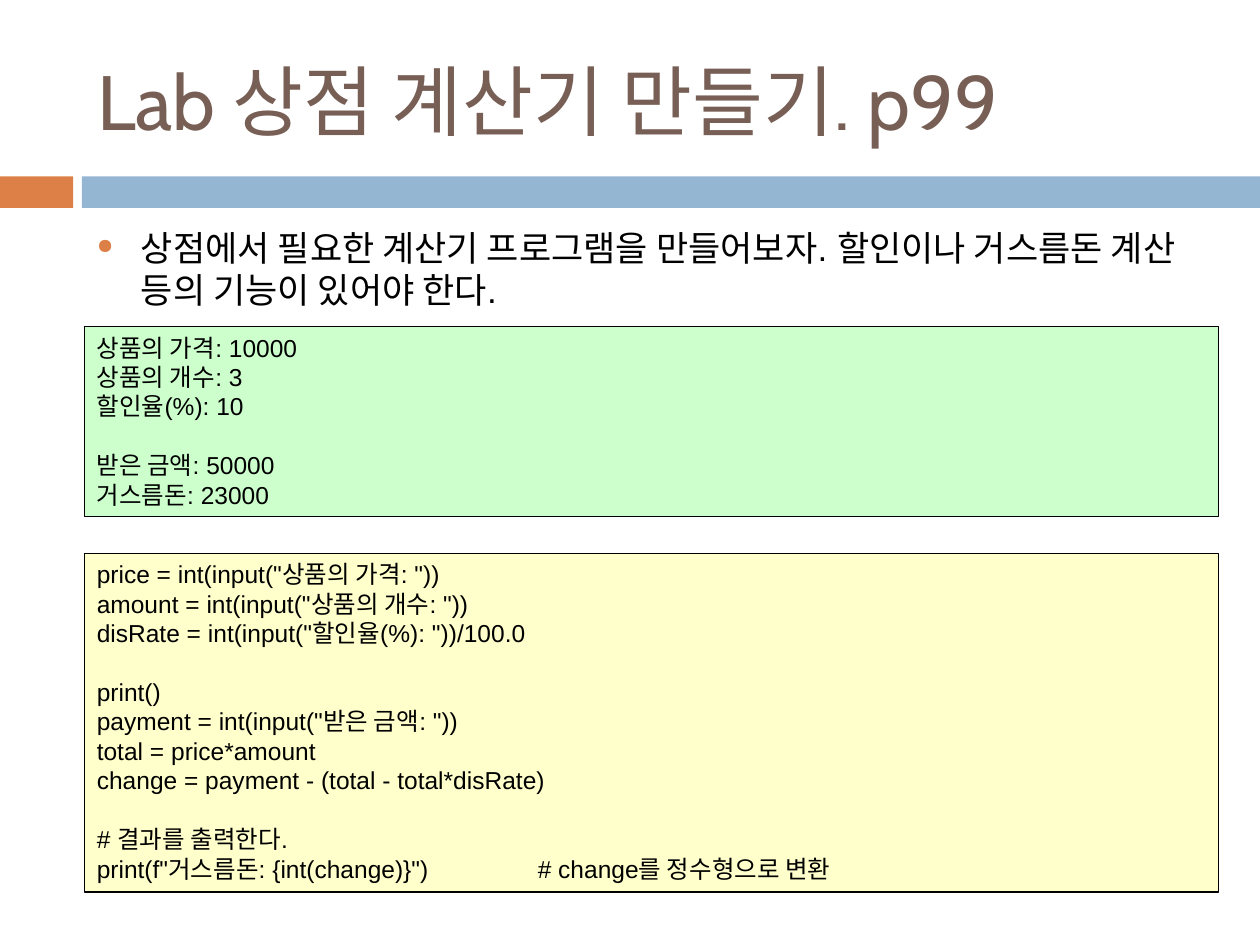
from lxml.etree import SubElement
from pptx import Presentation
from pptx.dml.color import RGBColor
from pptx.enum.shapes import MSO_SHAPE
from pptx.enum.text import MSO_ANCHOR, MSO_AUTO_SIZE, PP_ALIGN
from pptx.oxml.ns import qn
from pptx.util import Inches, Pt

BLACK = RGBColor(0x00, 0x00, 0x00)
BROWN = RGBColor(0x77, 0x5F, 0x55)
ORANGE = RGBColor(0xDD, 0x80, 0x47)
BLUE = RGBColor(0x94, 0xB6, 0xD2)
GREEN = RGBColor(0xCC, 0xFF, 0xCC)
YELLOW = RGBColor(0xFF, 0xFF, 0xCC)

TITLE = "Lab 상점 계산기 만들기. p99"
TASK = "상점에서 필요한 계산기 프로그램을 만들어보자. 할인이나 거스름돈 계산 등의 기능이 있어야 한다."
OUTPUT = [
    ["상품의 가격: 10000", "상품의 개수: 3", "할인율(%): 10"],
    ["받은 금액: 50000", "거스름돈: 23000"],
]
CODE = [
    [
        'price = int(input("상품의 가격: "))',
        'amount = int(input("상품의 개수: "))',
        'disRate = int(input("할인율(%): "))/100.0',
    ],
    [
        "print()",
        'payment = int(input("받은 금액: "))',
        "total = price*amount",
        "change = payment - (total - total*disRate)",
    ],
    [
        "# 결과를 출력한다.",
        'print(f"거스름돈: {int(change)}")\t\t# change를 정수형으로 변환',
    ],
]


def style(font, name, size, color):
    """Set the face, size and colour of a font."""
    font.name = name
    font.size = Pt(size)
    font.color.rgb = color


def add_rect(slide, box, fill):
    """Add a plain filled rectangle."""
    rect = slide.shapes.add_shape(MSO_SHAPE.RECTANGLE, *map(Inches, box))
    rect.shadow.inherit = False
    rect.fill.solid()
    rect.fill.fore_color.rgb = fill
    rect.line.fill.background()
    return rect


def add_band(slide, box, split, gap):
    """Draw the two-colour band, split at the given width."""
    left, top, width, height = box
    start = split + gap
    add_rect(slide, (left, top, split, height), ORANGE)
    add_rect(slide, (left + start, top, width - start, height), BLUE)


def set_title(slide, box, text):
    """Place and format the title placeholder."""
    title = slide.shapes.title
    title.left, title.top, title.width, title.height = map(Inches, box)
    frame = title.text_frame
    frame.text = text
    frame.auto_size = MSO_AUTO_SIZE.NONE
    frame.vertical_anchor = MSO_ANCHOR.MIDDLE
    para = frame.paragraphs[0]
    para.alignment = PP_ALIGN.LEFT
    style(para.runs[0].font, "Cabin", 44, BROWN)


def add_bullet(slide, box, text):
    """Add a text box with one bulleted paragraph."""
    frame = slide.shapes.add_textbox(*map(Inches, box)).text_frame
    frame.word_wrap = True
    para = frame.paragraphs[0]
    para.text = text
    props = para._p.get_or_add_pPr()
    props.set("marL", str(Inches(0.35)))
    props.set("indent", str(-Inches(0.35)))
    color = SubElement(props, qn("a:buClr"))
    SubElement(color, qn("a:srgbClr"), val=str(ORANGE))
    SubElement(props, qn("a:buSzPct"), val="60000")
    SubElement(props, qn("a:buChar"), char="●")
    style(para.runs[0].font, "Arial", 20, BLACK)


def add_panel(slide, box, fill, blocks):
    """Add a bordered panel of text blocks, one line apart."""
    panel = add_rect(slide, box, fill)
    panel.line.color.rgb = BLACK
    panel.line.width = Pt(0.75)
    frame = panel.text_frame
    frame.word_wrap = True
    frame.vertical_anchor = MSO_ANCHOR.TOP
    frame.text = "\n".join(line for block in blocks for line in block)
    paras = iter(frame.paragraphs)
    for i, block in enumerate(blocks):
        for j, _ in enumerate(block):
            para = next(paras)
            para.alignment = PP_ALIGN.LEFT
            if i and not j:
                para.space_before = Pt(16.8)
            style(para.runs[0].font, "Arial", 14, BLACK)


def main():
    """Build the slide and save it."""
    deck = Presentation()
    deck.slide_width, deck.slide_height = Inches(10), Inches(7.5)
    slide = deck.slides.add_slide(deck.slide_layouts[5])
    add_band(slide, (0, 1.4, 10, 0.25), 0.58, 0.07)
    set_title(slide, (0.67, 0.25, 8.92, 1.08), TITLE)
    add_bullet(slide, (0.67, 1.75, 8.92, 0.8), TASK)
    add_panel(slide, (0.67, 2.59, 9, 1.51), GREEN, OUTPUT)
    add_panel(slide, (0.67, 4.39, 9, 2.69), YELLOW, CODE)
    deck.save("out.pptx")


if __name__ == "__main__":
    main()
